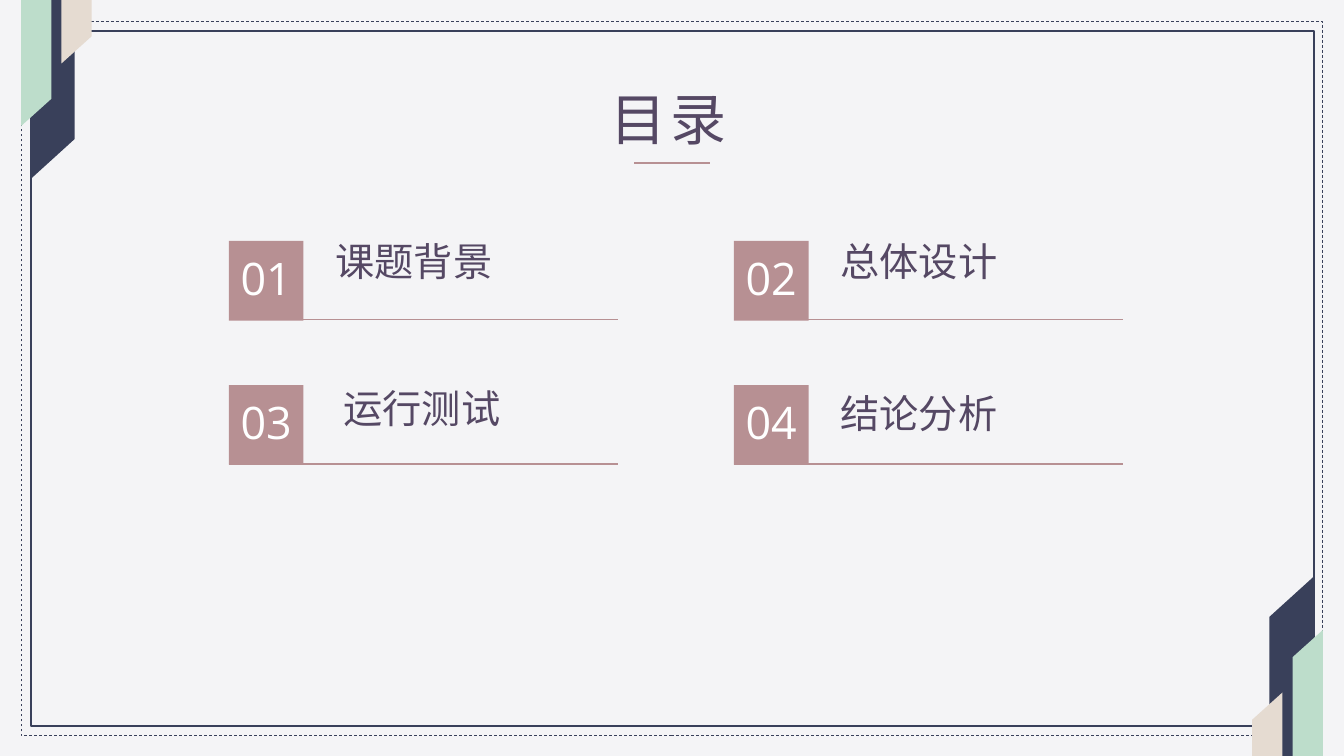
from dataclasses import dataclass

from lxml.etree import SubElement
from pptx import Presentation
from pptx.dml.color import RGBColor
from pptx.enum.dml import MSO_LINE
from pptx.enum.shapes import MSO_CONNECTOR, MSO_SHAPE
from pptx.enum.text import MSO_ANCHOR, MSO_AUTO_SIZE, PP_ALIGN
from pptx.oxml.ns import qn
from pptx.shapes.autoshape import Shape
from pptx.text.text import TextFrame
from pptx.util import Inches, Pt

WIDE, HIGH = 13.33, 7.5
NAVY, ROSE, PLUM, PALE = "39405A", "B79093", "554864", "F4F4F6"


@dataclass
class Strip:
    left: float
    right: float
    short: float
    long: float
    color: str


@dataclass
class Item:
    num: str
    title: str
    col: int
    row: int
    left: float
    top: float


STRIPS = [
    Strip(0.3, 0.74, 1.38, 1.78, NAVY),
    Strip(0.61, 0.91, 0.36, 0.63, "E5DBD1"),
    Strip(0.21, 0.51, 0.98, 1.25, "BDDDCB"),
]
ITEMS = [
    Item("01", "课题背景", 0, 0, 3.23, 2.3),
    Item("02", "总体设计", 1, 0, 8.24, 2.3),
    Item("03", "运行测试", 0, 1, 3.31, 3.76),
    Item("04", "结论分析", 1, 1, 8.24, 3.81),
]

deck = Presentation()
deck.slide_width, deck.slide_height = Inches(WIDE), Inches(HIGH)
slide = deck.slides.add_slide(deck.slide_layouts[6])
shapes = slide.shapes


def rgb(code: str) -> RGBColor:
    return RGBColor.from_string(code)


def paint(shape: Shape, fill: str = "", line: str = "", width: float = 1) -> None:
    shape.shadow.inherit = False
    if fill:
        shape.fill.solid()
        shape.fill.fore_color.rgb = rgb(fill)
    else:
        shape.fill.background()
    if line:
        shape.line.color.rgb = rgb(line)
        shape.line.width = Pt(width)
    else:
        shape.line.fill.background()


def add_box(left: float, top: float, width: float, height: float) -> Shape:
    return shapes.add_shape(MSO_SHAPE.RECTANGLE, Inches(left), Inches(top),
                            Inches(width), Inches(height))


def add_strip(strip: Strip, turn: bool) -> None:
    points = [(strip.left, 0), (strip.right, 0),
              (strip.right, strip.short), (strip.left, strip.long)]
    if turn:
        points = [(WIDE - x, HIGH - y) for x, y in points]
    spots = [(Inches(x), Inches(y)) for x, y in points]
    form = shapes.build_freeform(*spots[0], scale=1.0)
    form.add_line_segments(spots[1:], close=True)
    paint(form.convert_to_shape(), strip.color)


def add_rule(left: float, top: float, width: float, weight: float) -> None:
    rule = shapes.add_connector(MSO_CONNECTOR.STRAIGHT, Inches(left), Inches(top),
                                Inches(left + width), Inches(top))
    rule.line.color.rgb = rgb(ROSE)
    rule.line.width = Pt(weight)
    SubElement(rule._element.spPr, qn("a:effectLst"))


def write(frame: TextFrame, text: str, size: float, face: str, color: str,
          space: int = 0) -> None:
    frame.text = text
    run = frame.paragraphs[0].runs[0]
    run.font.size = Pt(size)
    run.font.name = face
    run.font.color.rgb = rgb(color)
    props = run._r.get_or_add_rPr()
    SubElement(props, qn("a:ea")).set("typeface", face)
    if space:
        props.set("spc", str(space))


def add_text(left: float, top: float, width: float, height: float) -> TextFrame:
    frame = shapes.add_textbox(Inches(left), Inches(top),
                               Inches(width), Inches(height)).text_frame
    frame.word_wrap = False
    frame.auto_size = MSO_AUTO_SIZE.SHAPE_TO_FIT_TEXT
    return frame


def add_item(item: Item) -> None:
    left, top = 2.27 + 5.01 * item.col, 2.39 + 1.43 * item.row
    label = add_text(item.left, item.top, 1.77, 0.57)
    label.vertical_anchor = MSO_ANCHOR.MIDDLE
    write(label, item.title, 28, "Roboto", PLUM)

    badge = add_box(left, top, 0.74, 0.79)
    paint(badge, ROSE)
    frame = badge.text_frame
    frame.margin_left = frame.margin_right = 0
    frame.margin_top = frame.margin_bottom = 0
    frame.vertical_anchor = MSO_ANCHOR.MIDDLE
    write(frame, item.num, 32, "Open Sans", "FFFFFF")
    frame.paragraphs[0].alignment = PP_ALIGN.CENTER
    frame.paragraphs[0].line_spacing = 0.9
    add_rule(left, top + 0.78, 3.86, 1.25)


# Background and double frame
paint(add_box(0, 0, WIDE, HIGH), PALE)
outer = add_box(0.21, 0.21, 12.91, 7.09)
paint(outer, line=NAVY, width=0.5)
outer.line.dash_style = MSO_LINE.DASH
paint(add_box(0.31, 0.31, 12.72, 6.89), PALE, NAVY, 1.5)

# Corner strips, turned half round at lower right
for turn in (False, True):
    for strip in STRIPS:
        add_strip(strip, turn)

# Contents
for item in ITEMS:
    add_item(item)

# Heading
write(add_text(5.96, 0.79, 1.41, 0.77), "目录", 40, "Noto Sans CJK SC", PLUM, 300)
add_rule(6.29, 1.62, 0.75, 1.5)

deck.save("out.pptx")
